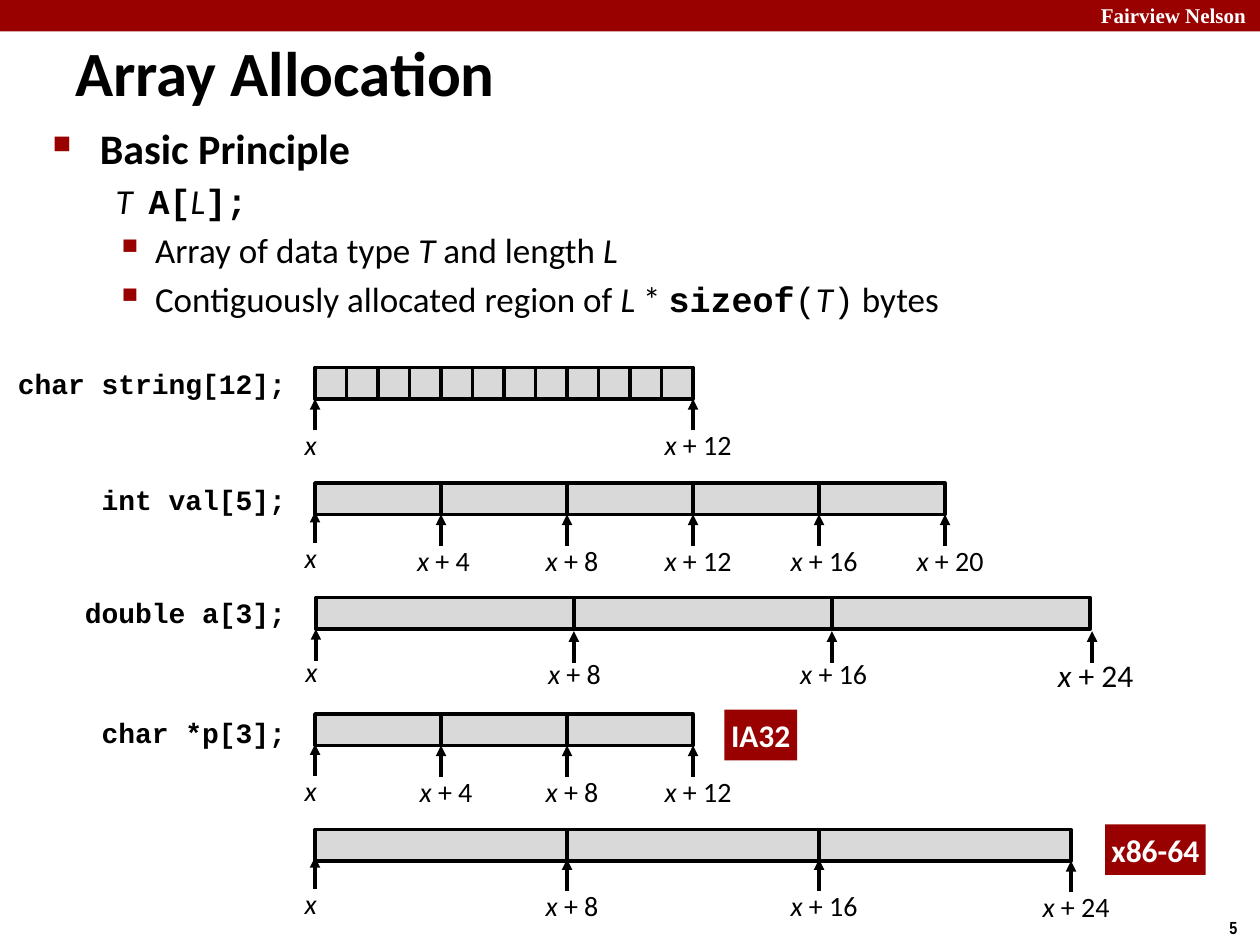
"""Build a slide that explains how arrays are laid out in memory."""
from dataclasses import dataclass

import pptx
import pptx.dml.color
import pptx.enum.shapes
import pptx.enum.text
import pptx.oxml
import pptx.oxml.ns
import pptx.util
from lxml import etree

Pt = pptx.util.Pt
ALIGN = pptx.enum.text.PP_ALIGN
MIDDLE = pptx.enum.text.MSO_ANCHOR.MIDDLE
RECT = pptx.enum.shapes.MSO_SHAPE.RECTANGLE
STRAIGHT = pptx.enum.shapes.MSO_CONNECTOR.STRAIGHT
qn = pptx.oxml.ns.qn
COLORS = {"red": "990000", "cell": "D9D9D9", "black": "000000", "white": "FFFFFF"}
CODE = "Courier New"
BAR_H = 18
TICK_H = 18


@dataclass
class Tick:
    """An address mark: byte offset, drop below the bar and label format."""
    byte: int
    drop: float = 0
    label_dx: float = 2.9
    size: float = 16
    dx: float = 0


def rgb(name):
    """Return the named colour."""
    return pptx.dml.color.RGBColor.from_string(COLORS[name])


def add_text(p, text, size=16, font="Calibri", color="black", bold=False, italic=False):
    """Append a formatted run to a paragraph."""
    r = p.add_run()
    r.text = text
    r.font.size, r.font.name = Pt(size), font
    r.font.bold, r.font.italic = bold, italic
    r.font.color.rgb = rgb(color)


def add_box(shapes, x, y, w, h, align=ALIGN.LEFT, wrap=True):
    """Add a text box and return its text frame."""
    tf = shapes.add_textbox(Pt(x), Pt(y), Pt(w), Pt(h)).text_frame
    tf.word_wrap = wrap
    tf.paragraphs[0].alignment = align
    return tf


def add_rect(shapes, x, y, w, h, fill, line=None):
    """Add a flat rectangle."""
    sp = shapes.add_shape(RECT, Pt(x), Pt(y), Pt(w), Pt(h))
    sp.shadow.inherit = False
    sp.fill.solid()
    sp.fill.fore_color.rgb = rgb(fill)
    if line:
        sp.line.color.rgb = rgb(line)
        sp.line.width = Pt(2)
    else:
        sp.line.fill.background()
    return sp


def add_arrow(shapes, x, y):
    """Add an upward arrow whose head is at the given point."""
    cn = shapes.add_connector(STRAIGHT, Pt(x), Pt(y + TICK_H), Pt(x), Pt(y))
    cn.line.color.rgb = rgb("black")
    cn.line.width = Pt(2)
    etree.SubElement(cn.line._get_or_add_ln(), qn("a:tailEnd"), type="triangle")
    etree.SubElement(cn._element.spPr, qn("a:effectLst"))


def set_bullet(p, char, percent):
    """Give a paragraph a red bullet."""
    pPr = p._p.get_or_add_pPr()
    clr = etree.SubElement(pPr, qn("a:buClr"))
    etree.SubElement(clr, qn("a:srgbClr"), val=COLORS["red"])
    etree.SubElement(pPr, qn("a:buSzPct"), val=str(percent * 1000))
    etree.SubElement(pPr, qn("a:buChar"), char=char)


def add_frame(s, w, h):
    """Place the header band, its name and the page number."""
    add_rect(s.shapes, 0, 0, w, 18, "red")
    tf = add_box(s.shapes, w - 98, -2, 103, 21.6)
    add_text(tf.paragraphs[0], "Fairview Nelson", size=12, font="Times New Roman",
             color="white", bold=True)
    tf = add_box(s.shapes, w - 24.5, h - 19.5, 24.5, 19.5, wrap=False)
    add_text(tf.paragraphs[0], "5", size=10, font="Arial Narrow", bold=True)


def add_title(s, x, y, w, h):
    """Place the slide title."""
    tf = add_box(s.shapes, x, y, w, h)
    tf.vertical_anchor = MIDDLE
    add_text(tf.paragraphs[0], "Array Allocation", size=36, bold=True)


def add_principle(s, x, y, w, h):
    """Place the basic principle and its points."""
    tf = add_box(s.shapes, x, y, w, h)
    code, var = {"font": CODE}, {"italic": True}
    bold_code = {"font": CODE, "bold": True}
    lines = [
        (0, "■", 60, [("Basic Principle", {"bold": True})]),
        (1, None, 0, [("T  ", var), ("A[", bold_code), ("L", var), ("];", bold_code)]),
        (1, "▪", 110, [("Array of data type ", {}), ("T", var), (" and length ", {}),
                       ("L", var)]),
        (1, "▪", 110, [("Contiguously allocated region of ", {}), ("L", var), (" * ", {}),
                       ("sizeof", bold_code), ("(", code), ("T", var), (")", code),
                       (" bytes", {})]),
    ]
    for i, (level, char, percent, runs) in enumerate(lines):
        p = tf.add_paragraph() if i else tf.paragraphs[0]
        size, left, hang = ((24, 27, 27), (20, 58.5, 22.5))[level]
        p.level = level
        p.space_before = Pt(size * 0.2)
        pPr = p._p.get_or_add_pPr()
        pPr.set("marL", str(Pt(left)))
        pPr.set("indent", str(-Pt(hang)))
        if char:
            set_bullet(p, char, percent)
        for text, fmt in runs:
            add_text(p, text, size=size, **fmt)


def add_declaration(s, right, y, text):
    """Place a declaration so that it ends at the given right edge."""
    w = len(text) * 9.6 + 14.4
    tf = add_box(s.shapes, right - w, y, w, 26.6, ALIGN.RIGHT, wrap=False)
    add_text(tf.paragraphs[0], text, font=CODE, bold=True)


def add_array(s, x, y, count, size, ticks, byte_w=18, label_gap=13):
    """Place a row of cells with address marks below it."""
    shapes = s.shapes.add_group_shape().shapes
    cell_w = size * byte_w
    for i in range(count):
        add_rect(shapes, x + i * cell_w, y, cell_w, BAR_H, "cell", "black")
    for t in ticks:
        edge, top = x + t.byte * byte_w + t.dx, y + BAR_H + t.drop
        add_arrow(shapes, edge, top)
        w, label_dx = (78, t.label_dx) if t.byte else (31, -2.5)
        tf = add_box(shapes, edge + label_dx - w / 2, top + label_gap, w, 26.6, ALIGN.CENTER)
        p = tf.paragraphs[0]
        add_text(p, "x " if t.byte else "x", size=t.size, italic=True)
        if t.byte:
            add_text(p, f"+ {t.byte}", size=t.size)


def add_tag(s, x, y, w, text):
    """Place a red architecture tag."""
    tf = add_rect(s.shapes, x, y, w, 29, "red").text_frame
    tf.margin_left = tf.margin_right = tf.margin_top = tf.margin_bottom = Pt(3.6)
    tf.word_wrap = False
    tf.vertical_anchor = MIDDLE
    tf.paragraphs[0].alignment = ALIGN.CENTER
    add_text(tf.paragraphs[0], text, size=18, color="white", bold=True)


def main():
    """Build and save the slide."""
    prs = pptx.Presentation()
    prs.slide_width, prs.slide_height = Pt(720), Pt(540)
    s = prs.slides.add_slide(prs.slide_layouts[6])
    add_frame(s, 720, 540)
    add_title(s, 36, 18, 468, 45)
    add_principle(s, 23, 66.5, 654.5, 127.5)
    for y, text in ((206, "char string[12];"), (272, "int val[5];"),
                    (336.5, "double a[3];"), (405.5, "char *p[3];")):
        add_declaration(s, 170.5, y, text)
    add_array(s, 180, 210, 12, 1, [Tick(0), Tick(12)])
    add_array(s, 180, 276, 5, 4,
              [Tick(0, -1.5), Tick(4, label_dx=1.4)] + [Tick(b) for b in (8, 12, 16, 20)])
    add_array(s, 180.5, 341.5, 3, 8,
              [Tick(0), Tick(8, 1.2, 0.3), Tick(16, 1.2, 1), Tick(24, 1.2, 2, 18, 1.25)],
              byte_w=18.43, label_gap=10.8)
    add_array(s, 180, 408, 3, 4, [Tick(0, -0.7)] + [Tick(b) for b in (4, 8, 12)])
    add_array(s, 180, 474, 3, 8,
              [Tick(0, -2.2), Tick(8, -1), Tick(16, -1), Tick(24)])
    add_tag(s, 414, 405.5, 41.5, "IA32")
    add_tag(s, 631.5, 471, 57.5, "x86-64")
    prs.save("out.pptx")


if __name__ == "__main__":
    main()
